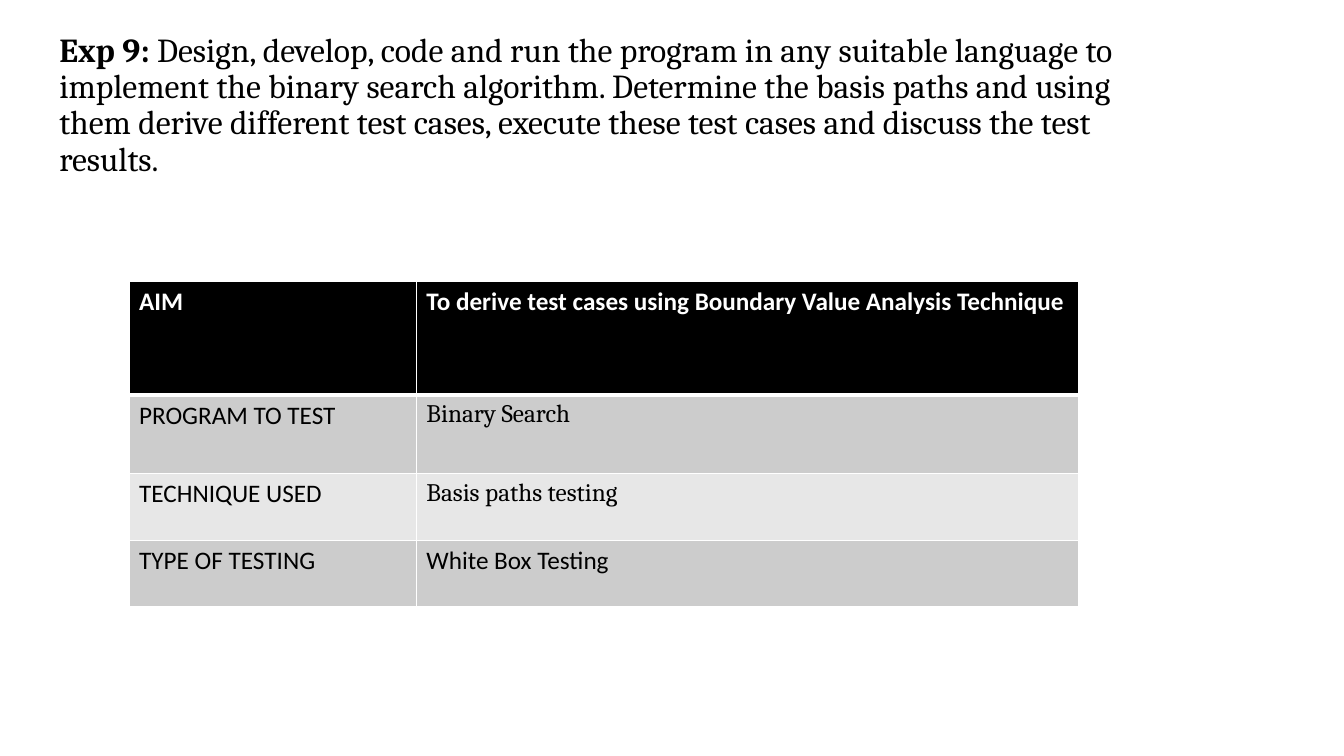
import pptx
import pptx.dml.color
import pptx.oxml
import pptx.oxml.ns
import pptx.util

Inches = pptx.util.Inches
TASK = ("Design, develop, code and run the program in any suitable language to "
        "implement the binary search algorithm. Determine the basis paths and using "
        "them derive different test cases, execute these test cases and discuss the "
        "test results.")
ROWS = [
    ("AIM", "To derive test cases using Boundary Value Analysis Technique", "Calibri"),
    ("PROGRAM TO TEST", "Binary Search", "Cambria"),
    ("TECHNIQUE USED", "Basis paths testing", "Cambria"),
    ("TYPE OF TESTING", "White Box Testing", "Calibri"),
]
WIDTHS = [2.85, 6.57]
HEIGHTS = [1.13, 0.78, 0.66, 0.66]


def color(code):
    return pptx.dml.color.RGBColor.from_string(code)


def write(para, text, tint, **style):
    """Add a run of text in the given colour and font style."""
    run = para.add_run()
    run.text = text
    for key, value in style.items():
        setattr(run.font, key, value)
    run.font.color.rgb = color(tint)


def border(cell, side, points):
    """Draw one white edge of a cell; call before the cell is filled."""
    line = pptx.oxml.parse_xml(
        f'<a:ln{side} {pptx.oxml.ns.nsdecls("a")} w="{pptx.util.Pt(points)}">'
        '<a:solidFill><a:srgbClr val="FFFFFF"/></a:solidFill>'
        f'</a:ln{side}>')
    cell._tc.get_or_add_tcPr().append(line)


def task(slide, left, top, width, height):
    box = slide.shapes.add_textbox(*map(Inches, (left, top, width, height)))
    box.text_frame.word_wrap = True
    para = box.text_frame.paragraphs[0]
    para.line_spacing = 0.9
    for text, bold in (("Exp 9: ", True), (TASK, False)):
        write(para, text, "000000", name="Cambria", size=pptx.util.Pt(24), bold=bold)


def summary(slide, left, top):
    size = (sum(WIDTHS), sum(HEIGHTS))
    grid = slide.shapes.add_table(len(ROWS), len(WIDTHS),
                                  *map(Inches, (left, top, *size))).table
    for col, width in zip(grid.columns, WIDTHS):
        col.width = Inches(width)
    for row, height in zip(grid.rows, HEIGHTS):
        row.height = Inches(height)
    for i, (label, value, font) in enumerate(ROWS):
        head = i == 0
        fill = "000000" if head else ("E7E7E7", "CCCCCC")[i % 2]
        edges = {"L": 1, "R": 1, "T": 3 if i == 1 else 1, "B": 3 if head else 1}
        for j, (text, name) in enumerate(((label, "Calibri"), (value, font))):
            cell = grid.cell(i, j)
            for side, points in edges.items():
                border(cell, side, points)
            cell.fill.solid()
            cell.fill.fore_color.rgb = color(fill)
            write(cell.text_frame.paragraphs[0], text, "FFFFFF" if head else "000000",
                  name=name, size=pptx.util.Pt(18), bold=head)


def main():
    deck = pptx.Presentation()
    deck.slide_width, deck.slide_height = Inches(13.33), Inches(7.5)
    slide = deck.slides.add_slide(deck.slide_layouts[6])
    task(slide, 0.49, 0.28, 10.67, 4.84)
    summary(slide, 1.28, 2.79)
    deck.save("out.pptx")


if __name__ == "__main__":
    main()
